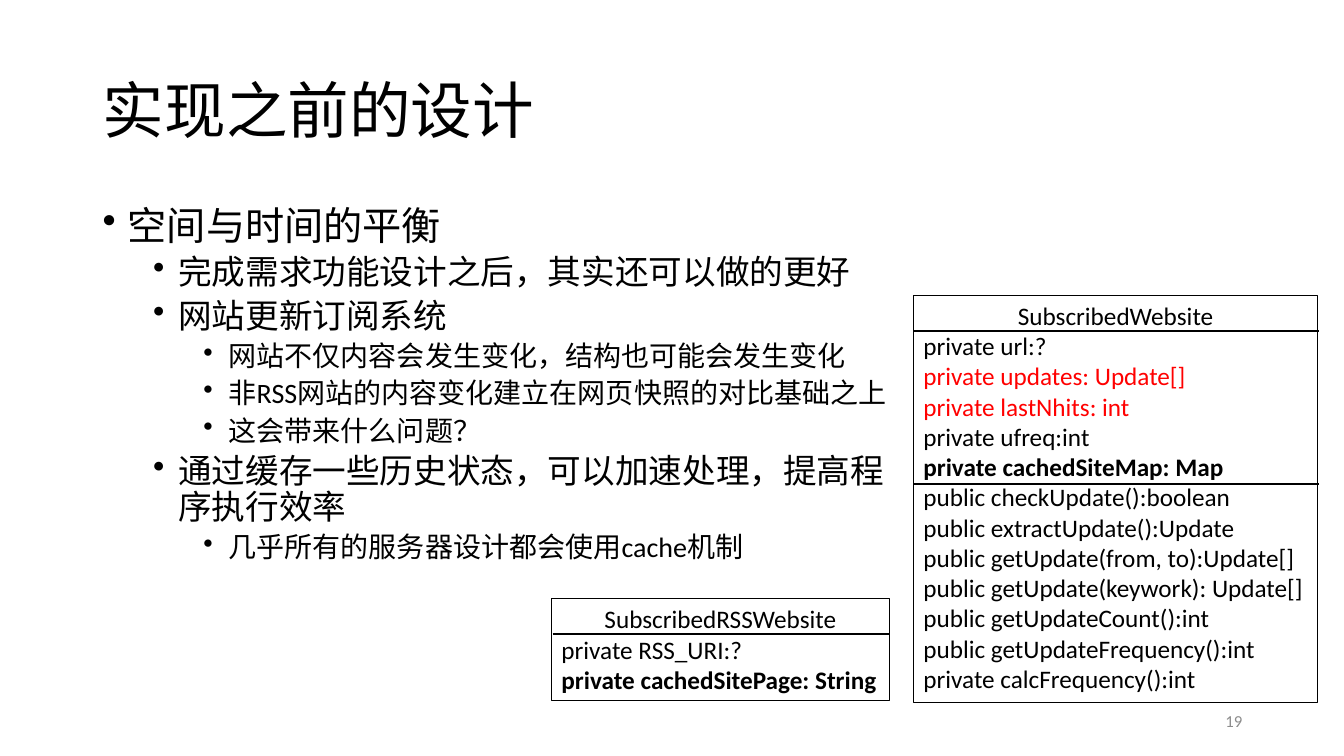
from lxml.etree import SubElement as Sub
from pptx import Presentation
from pptx.dml.color import RGBColor as Rgb
from pptx.enum.shapes import MSO_CONNECTOR as Conn, MSO_SHAPE as Kind
from pptx.enum.text import MSO_ANCHOR as Anchor, MSO_AUTO_SIZE as Fit, PP_ALIGN as Align
from pptx.oxml.ns import qn
from pptx.util import Inches, Pt

BLACK, RED, GRAY = "000000", "FF0000", "8C8C8C"
ROW = 3.94 / 13  # height of one 18 pt text row in a class box
PAD = 0.05

POINTS = [
    (0, "空间与时间的平衡"),
    (1, "完成需求功能设计之后，其实还可以做的更好"),
    (1, "网站更新订阅系统"),
    (2, "网站不仅内容会发生变化，结构也可能会发生变化"),
    (2, "非RSS网站的内容变化建立在网页快照的对比基础之上"),
    (2, "这会带来什么问题？"),
    (1, "通过缓存一些历史状态，可以加速处理，提高程序执行效率"),
    (2, "几乎所有的服务器设计都会使用cache机制"),
]
SITE = [
    "SubscribedWebsite",
    "private url:?",
    "private updates: Update[]",
    "private lastNhits: int",
    "private ufreq:int",
    "private cachedSiteMap: Map",
    "public checkUpdate():boolean",
    "public extractUpdate():Update",
    "public getUpdate(from, to):Update[]",
    "public getUpdate(keywork): Update[]",
    "public getUpdateCount():int",
    "public getUpdateFrequency():int",
    "private calcFrequency():int",
]
RSS = ["SubscribedRSSWebsite", "private RSS_URI:?", "private cachedSitePage: String"]


def color(code):
    """Turn a hex string into a colour."""
    return Rgb.from_string(code)


def apply(item, **vals):
    """Set each given attribute on the item."""
    for name, val in vals.items():
        setattr(item, name, val)


def place(*box):
    """Turn left, top, width and height in inches into lengths."""
    return [Inches(val) for val in box]


class Page:
    """Holds the style and the current slide."""

    font = "Calibri"

    def __init__(self, deck):
        """Add a title-only slide to the deck."""
        self.slide = deck.slides.add_slide(deck.slide_layouts[5])
        self.shapes = self.slide.shapes

    def style(self, para, text, size, code=BLACK, bold=False, **form):
        """Put one styled run in a paragraph."""
        apply(para, **form)
        run = para.add_run()
        run.text = text
        apply(run.font, name=self.font, size=Pt(size), bold=bold)
        run.font.color.rgb = color(code)

    def paras(self, frame, count):
        """Return the given number of paragraphs of an empty frame."""
        return [frame.paragraphs[0]] + [frame.add_paragraph() for _ in range(count - 1)]

    def title(self, text, box):
        """Move and fill the title placeholder."""
        head = self.shapes.title
        left, top, width, height = place(*box)
        apply(head, left=left, top=top, width=width, height=height)
        frame = head.text_frame
        apply(frame, vertical_anchor=Anchor.MIDDLE, auto_size=Fit.NONE, word_wrap=True)
        self.style(frame.paragraphs[0], text, 44, alignment=Align.LEFT, line_spacing=0.9)

    def label(self, text, box, size, code):
        """Add a right-aligned line of text."""
        frame = self.shapes.add_textbox(*place(*box)).text_frame
        apply(frame, word_wrap=True, vertical_anchor=Anchor.MIDDLE)
        self.style(frame.paragraphs[0], text, size, code, alignment=Align.RIGHT)

    def bullets(self, points, box):
        """Add a bullet list of (level, text) points."""
        frame = self.shapes.add_textbox(*place(*box)).text_frame
        frame.word_wrap = True
        for para, (level, text) in zip(self.paras(frame, len(points)), points):
            self.style(para, text, 28 - 4 * level, level=level, line_spacing=0.9,
                       space_before=Pt(5 if level else 10))
            props = para._p.get_or_add_pPr()
            props.set("marL", str(Inches(0.25 + 0.5 * level)))
            props.set("indent", str(Inches(-0.25)))
            Sub(props, qn("a:buChar")).set("char", "•")

    def rule(self, left, top, width):
        """Add a level dividing line."""
        start, level, end = place(left, top, left + width)
        line = self.shapes.add_connector(Conn.STRAIGHT, start, level, end, level)
        line.line.color.rgb = color(BLACK)
        line.line.width = Pt(1.5)
        Sub(line._element.spPr, qn("a:effectLst"))

    def table(self, rows, left, top, width, cuts, bold, red=()):
        """Add a class box with dividers below the given row counts."""
        size = place(left, top, width, 2 * PAD + len(rows) * ROW)
        rect = self.shapes.add_shape(Kind.RECTANGLE, *size)
        rect.shadow.inherit = False
        rect.fill.background()
        rect.line.color.rgb = color(BLACK)
        rect.line.width = Pt(0.75)
        frame = rect.text_frame
        apply(frame, word_wrap=False, vertical_anchor=Anchor.TOP,
              auto_size=Fit.SHAPE_TO_FIT_TEXT)
        for num, para in enumerate(self.paras(frame, len(rows))):
            self.style(para, rows[num], 18, RED if num in red else BLACK, num == bold,
                       alignment=Align.LEFT if num else Align.CENTER)
        for cut in cuts:
            self.rule(left + 0.01, top + PAD + cut * ROW, width)


deck = Presentation()
apply(deck, slide_width=Inches(13.33), slide_height=Inches(7.5))
page = Page(deck)
page.title("实现之前的设计", (0.92, 0.4, 11.5, 1.45))
page.bullets(POINTS, (0.92, 2, 8.14, 4.76))
page.table(SITE, 9.06, 2.93, 4.01, cuts=(1, 6), bold=5, red=(2, 3))
page.table(RSS, 5.47, 5.94, 3.35, cuts=(1,), bold=2)
page.label("19", (9.42, 6.95, 3, 0.4), 12, GRAY)
deck.save("out.pptx")
